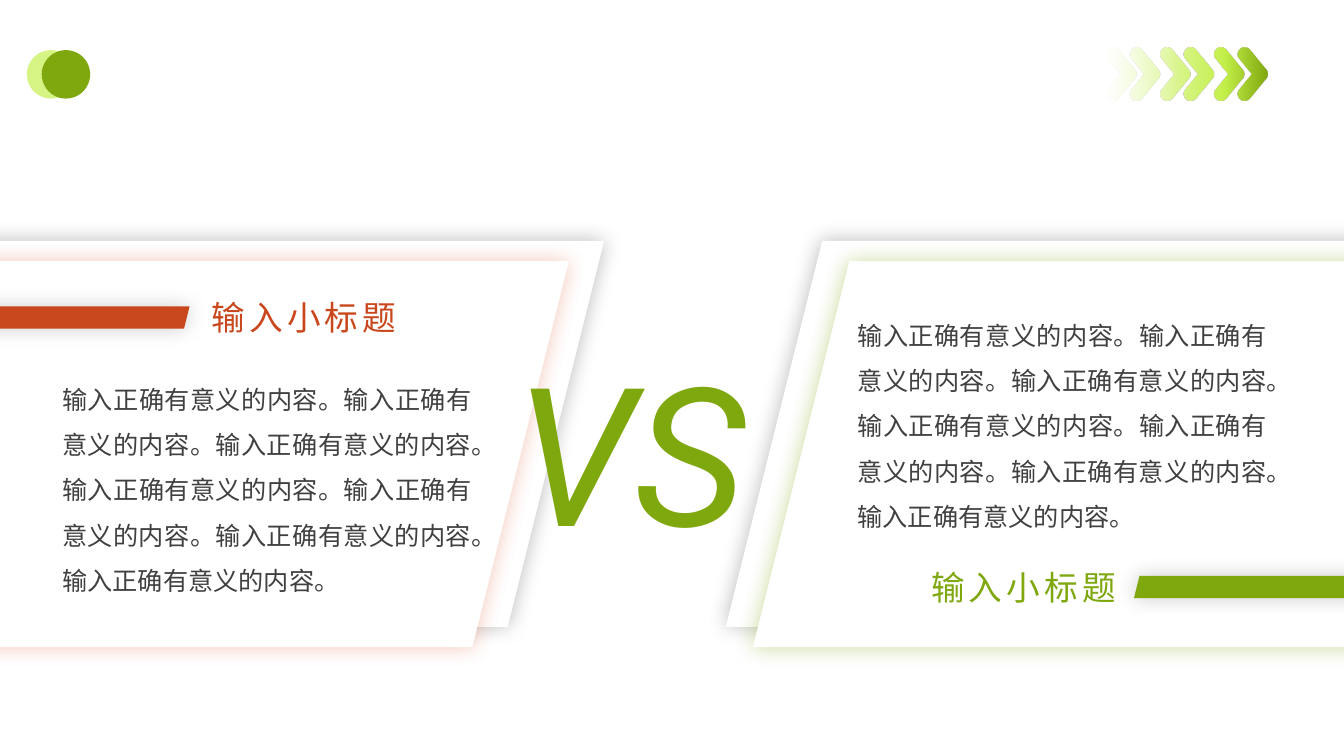
from lxml import etree
from pptx import Presentation
from pptx.dml.color import RGBColor
from pptx.enum.shapes import MSO_SHAPE
from pptx.enum.text import MSO_AUTO_SIZE, PP_ALIGN
from pptx.oxml.ns import qn
from pptx.util import Pt

OVAL = MSO_SHAPE.OVAL
SLANT = MSO_SHAPE.PARALLELOGRAM
LEFT, RIGHT, JUSTIFY = PP_ALIGN.LEFT, PP_ALIGN.RIGHT, PP_ALIGN.JUSTIFY
GROW = MSO_AUTO_SIZE.SHAPE_TO_FIT_TEXT

GREEN, LIME, RED, GLOW = "7FA70E", "C4F049", "C9471C", "E6724B"
WHITE, BLACK, GRAY = "FFFFFF", "000000", "404040"

# One arrow: a start point, then lines (one point) and curves (three points)
ARROW = [
    [(5, 0)],
    [(6.5, 0), (7.9, 0.7), (8.9, 1.8)],
    [(20.5, 15.9)],
    [(22, 17.8), (22, 20.4), (20.5, 22.3)],
    [(8.9, 36.4)],
    [(7.9, 37.5), (6.5, 38.2), (5, 38.2)],
    [(3.8, 38.2), (2.7, 37.8), (1.8, 37)],
    [(-0.3, 35.2), (-0.6, 32.2), (1.1, 30)],
    [(10, 19.1)],
    [(1.1, 8.2)],
    [(-0.6, 6), (-0.3, 3), (1.8, 1.2)],
    [(2.7, 0.4), (3.8, 0), (5, 0)],
]


def rgb(code):
    return RGBColor.from_string(code)


def tint(parent, code, alpha=100):
    """Add a colour element with an opacity in percent."""
    clr = etree.SubElement(parent, qn("a:srgbClr"), val=code)
    if alpha < 100:
        etree.SubElement(clr, qn("a:alpha"), val=str(alpha * 1000))


class Board:
    """Style and drawing methods for one slide."""
    head, body = "Cabin", "Roboto"

    def __init__(self, slide):
        self.slide = slide

    def plain(self, shape):
        shape.shadow.inherit = False
        shape.line.fill.background()

    def shape(self, kind, x, y, w, h, code, alpha=100):
        item = self.slide.shapes.add_shape(kind, Pt(x), Pt(y), Pt(w), Pt(h))
        self.plain(item)
        item.fill.solid()
        item.fill.fore_color.rgb = rgb(code)
        if alpha < 100:
            solid = item._element.spPr.find(qn("a:solidFill"))
            solid.clear()
            tint(solid, code, alpha)
        return item

    def slab(self, x, y, w, h, code, shade, alpha):
        item = self.shape(SLANT, x, y, w, h, code)
        effects = item._element.spPr.find(qn("a:effectLst"))
        glow = etree.SubElement(effects, qn("a:outerShdw"), blurRad=str(Pt(15)),
                                dist="0", dir="0", algn="ctr", rotWithShape="0")
        tint(glow, shade, alpha)

    def blend(self, item, fill, stops, angle):
        fill.gradient()
        fill.gradient_angle = angle
        marks = item._element.find(".//" + qn("a:gsLst"))
        marks.clear()
        for place, code, alpha in stops:
            stop = etree.SubElement(marks, qn("a:gs"), pos=str(place * 1000))
            tint(stop, code, alpha)

    def arrows(self, x, y, starts, stops):
        # Hundredths of a point keep the outline smooth
        pen = None
        for start in starts:
            dots = [(100 * (x + start + dx), 100 * (y + dy))
                    for part in ARROW for dx, dy in part]
            if pen is None:
                pen = self.slide.shapes.build_freeform(*dots[0], scale=Pt(0.01))
            else:
                pen.move_to(*dots[0])
            pen.add_line_segments(dots[1:], close=True)
        item = pen.convert_to_shape()
        self.bend(item, len(starts))
        self.plain(item)
        self.blend(item, item.fill, stops, 0)

    def bend(self, item, count):
        """Join each three line points of a curve into one curve."""
        lines = iter(list(item._element.iter(qn("a:lnTo"))))
        for part in ARROW[1:] * count:
            first, *rest = [next(lines) for _ in part]
            if rest:
                curve = etree.Element(qn("a:cubicBezTo"))
                first.addprevious(curve)
                for line in (first, *rest):
                    curve.append(line[0])
                    line.getparent().remove(line)

    def text(self, words, x, y, w, h, font, size, code,
             align=LEFT, wrap=False, lines=None, gap=0, slope=None):
        box = self.slide.shapes.add_textbox(Pt(x), Pt(y), Pt(w), Pt(h))
        frame = box.text_frame
        frame.word_wrap = wrap
        frame.auto_size = GROW
        frame.text = words
        para = frame.paragraphs[0]
        para.alignment = align
        if lines:
            para.line_spacing = lines
        run = para.runs[0]
        run.font.name, run.font.size, run.font.italic = font, Pt(size), slope
        run.font.color.rgb = rgb(code)
        if gap:
            run.font._element.set("spc", str(gap * 100))
        return box, run


def main():
    deck = Presentation()
    deck.slide_width, deck.slide_height = Pt(960), Pt(540)
    board = Board(deck.slides.add_slide(deck.slide_layouts[6]))

    # Corner marks
    board.shape(OVAL, 19.2, 35.8, 34.6, 34.6, LIME, 68)
    board.shape(OVAL, 29.8, 35.8, 34.6, 34.6, GREEN)
    starts = [pair * 38.2 + step for pair in range(3) for step in (0, 16.7)]
    board.arrows(790.4, 33.8, starts, [(0, "EBFAC2", 0), (47, "D8F586", 100),
                                       (73, LIME, 100), (100, GREEN, 100)])

    # Slanted panels
    for x, y, shade, alpha in [(518.4, 172, BLACK, 25), (-171, 172, BLACK, 25),
                               (-196.2, 186.5, GLOW, 40), (537.8, 186.5, GREEN, 40)]:
        board.slab(x, y, 602.6, 275.8, WHITE, shade, alpha)

    # Headings and texts of the two sides
    words = "输入正确有意义的内容。" * 7
    sides = [(RED, (144, 208.8), LEFT, (37.4, 259.9), (-144, 218.9)),
             (GREEN, (653, 401.4), RIGHT, (605.5, 214.2), (810, 411.4))]
    for code, head, align, *_ in sides:
        board.text("输入小标题", *head, 151.2, 36, board.head, 24, code, align, gap=3)
    for _, _, _, body, _ in sides:
        board.text(words, *body, 306.7, 167.8, board.body, 18, GRAY,
                   JUSTIFY, wrap=True, lines=1.5)

    # Centre
    box, run = board.text("VS", 361.1, 234.4, 213.8, 174.2, board.body, 138,
                          GREEN, slope=True)
    board.blend(box, run.font.fill, [(0, GREEN, 100), (100, "75BD42", 100)], 270)

    # Bars beside the headings
    for code, *_, bar in sides:
        board.slab(*bar, 279.4, 15.8, code, BLACK, 20)

    deck.save("out.pptx")


if __name__ == "__main__":
    main()
